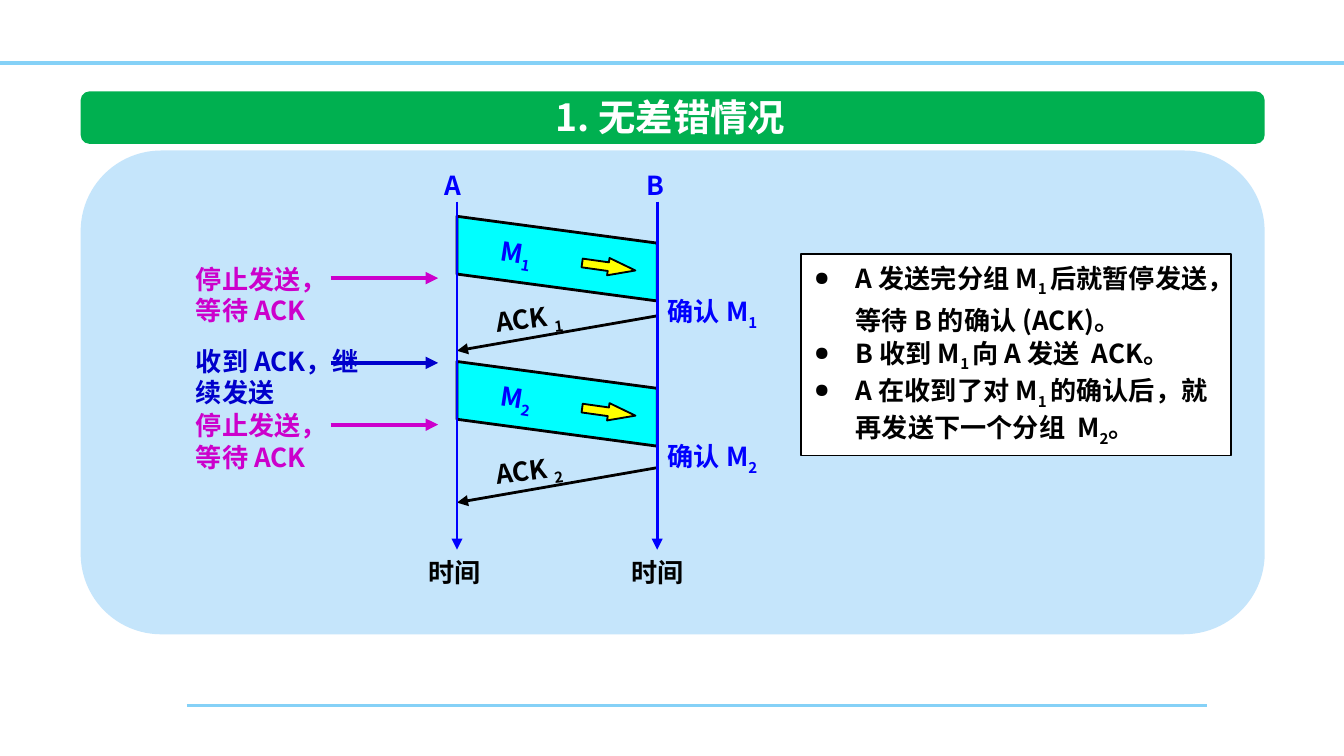
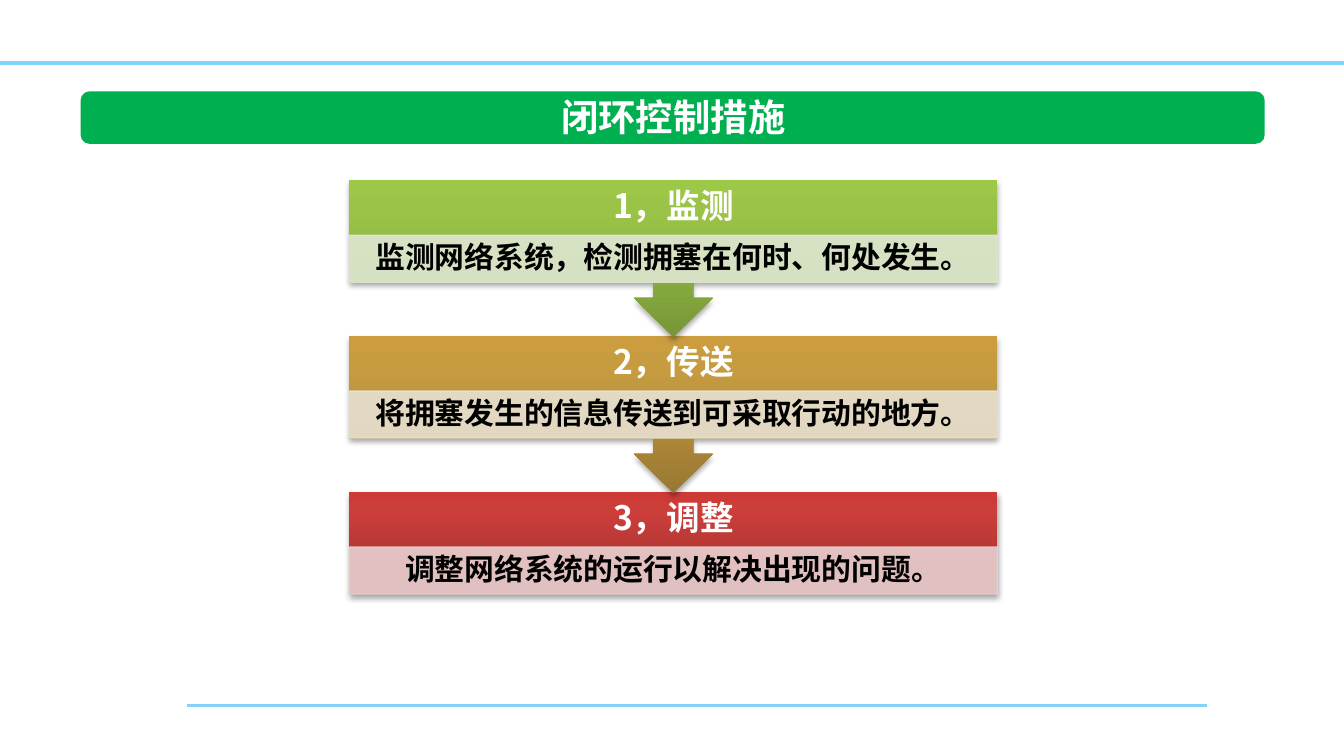
from lxml.etree import SubElement
from pptx import Presentation
from pptx.dml.color import RGBColor
from pptx.enum.shapes import MSO_CONNECTOR, MSO_SHAPE
from pptx.enum.text import MSO_ANCHOR, MSO_AUTO_SIZE, PP_ALIGN
from pptx.oxml.ns import qn
from pptx.util import Inches, Pt

FONT = "Noto Sans CJK SC"
WHITE, BLACK = "FFFFFF", "000000"
SKY, GREEN, PANEL = "85D1F7", "00B050", "C5E5FB"
BLUE, NAVY, MAGENTA = "0000FF", "0000CC", "CC00CC"
CYAN, YELLOW = "00FFFF", "FFFF00"
color = RGBColor.from_string


def paint(shape, fill, line=None, width=0.75):
    shape.shadow.inherit = False
    shape.fill.solid()
    shape.fill.fore_color.rgb = color(fill)
    if line:
        shape.line.color.rgb = color(line)
        shape.line.width = Pt(width)
    else:
        shape.line.fill.background()


def write(box, texts, ink, size=14, wrap=False, align=PP_ALIGN.LEFT, spacing=None,
          bullet=None, anchor=MSO_ANCHOR.TOP, fit=MSO_AUTO_SIZE.SHAPE_TO_FIT_TEXT):
    frame = box.text_frame
    for name, value in {"word_wrap": wrap, "auto_size": fit, "vertical_anchor": anchor}.items():
        setattr(frame, name, value)
    for index, text in enumerate(texts):
        para = frame.add_paragraph() if index else frame.paragraphs[0]
        para.alignment = align
        para.line_spacing = spacing
        if bullet:
            properties = para._p.get_or_add_pPr()
            properties.set("marL", str(Inches(0.31)))
            properties.set("indent", str(-Inches(0.31)))
            SubElement(properties, qn("a:buSzPct"), val="75000")
            SubElement(properties, qn("a:buChar"), char=bullet)
        for position, part in enumerate(text.split("|")):
            span = para.add_run()
            span.text = part
            for name, value in {"name": FONT, "size": Pt(size), "bold": True}.items():
                setattr(span.font, name, value)
            span.font.color.rgb = color(ink)
            run_properties = span._r.get_or_add_rPr()
            SubElement(run_properties, qn("a:ea"), typeface=FONT)
            if position % 2:
                run_properties.set("baseline", "-25000")


deck = Presentation()
deck.slide_width = Inches(10)
deck.slide_height = deck.slide_width * 9 // 16
rails = [(1.39, 5.25, 8.98, 5.25, SKY, 1.5, False), (0, 0.47, 10, 0.47, SKY, 2, False)]

pages = []
for title, left, width in [("1. 无差错情况", 4.02, 1.94), ("闭环控制措施", 4.07, 1.88)]:
    page = deck.slides.add_slide(deck.slide_layouts[6])
    bar = page.shapes.add_shape(MSO_SHAPE.ROUNDED_RECTANGLE,
                                Inches(0.6), Inches(0.68), Inches(8.81), Inches(0.39))
    paint(bar, GREEN)
    box = page.shapes.add_textbox(Inches(left), Inches(0.65), Inches(width), Inches(0.44))
    write(box, [title], WHITE, size=20, align=PP_ALIGN.CENTER)
    pages.append(page)
exchange, control = pages

panel = exchange.shapes.add_shape(MSO_SHAPE.ROUNDED_RECTANGLE,
                                  Inches(0.6), Inches(1.12), Inches(8.81), Inches(3.6))
paint(panel, PANEL)
notes = exchange.shapes.add_shape(MSO_SHAPE.RECTANGLE,
                                  Inches(5.96), Inches(1.89), Inches(3.2), Inches(1.5))
paint(notes, WHITE, BLACK)
write(notes, ["A 发送完分组 M|1 |后就暂停发送，等待 B 的确认 (ACK)。",
              "B 收到 M|1 |向 A 发送  ACK。",
              "A 在收到了对 M|1 |的确认后，就再发送下一个分组  M|2|。"],
      BLACK, wrap=True, spacing=Pt(20), bullet="●")

sender, receiver = 3.4, 4.89
exchange_lines = list(rails)
labels = []
for number, top, reply in [(1, 1.61, 2.35), (2, 2.69, 3.48)]:
    outline = exchange.shapes.build_freeform(Inches(sender), Inches(top), scale=1.0)
    outline.add_line_segments([(Inches(x), Inches(top + drop)) for x, drop in
                               [(receiver, 0.2), (receiver, 0.63), (sender, 0.43)]], close=True)
    paint(outline.convert_to_shape(), CYAN, BLACK, 1.5)
    pointer = exchange.shapes.add_shape(MSO_SHAPE.RIGHT_ARROW, Inches(4.33), Inches(top + 0.31),
                                        Inches(0.4), Inches(0.13))
    pointer.adjustments[1] = 1.565
    pointer.rotation = 8
    paint(pointer, YELLOW, BLACK, 1)
    exchange_lines.append((receiver, reply, sender, reply + 0.26, BLACK, 1.5, True))
    labels += [
        (f"M|{number}", 3.63, top + 0.11, 0.48, 0.33, BLUE, 9, False),
        (f"ACK |{number}", 3.59, reply - 0.15, 0.74, 0.34, BLACK, 352.8, False),
        (f"确认 M|{number}", 4.87, top + 0.54, 0.93, 0.34, BLUE, 0, False),
    ]

for text, top, width, arrow, ink in [
    ("停止发送，等待 ACK", 1.91, 1.28, 2.07, MAGENTA),
    ("收到 ACK，继续发送", 2.52, 1.44, 2.7, NAVY),
    ("停止发送，等待 ACK", 3, 1.28, 3.16, MAGENTA),
]:
    labels.append((text, 1.36, top, width, 0.59, ink, 0, True))
    exchange_lines.append((2.46, arrow, 3.26, arrow, ink, 2.25, True))

for host, x, name_left, time_left in [("A", sender, 3.21, 3.09), ("B", receiver, 4.71, 4.6)]:
    exchange_lines.append((x, 1.5, x, 4.09, BLUE, 1.5, True))
    labels += [(host, name_left, 1.21, 0.34, 0.33, BLUE, 0, False),
               ("时间", time_left, 4.09, 0.59, 0.34, BLACK, 0, False)]

for text, left, top, width, height, ink, rotation, wrap in labels:
    box = exchange.shapes.add_textbox(Inches(left), Inches(top), Inches(width), Inches(height))
    box.rotation = rotation
    write(box, [text], ink, wrap=wrap)

steps = [
    ("1，监测", "监测网络系统，检测拥塞在何时、何处发生。", ("779737", "9BC348", "9DC746"), "DEE7D1"),
    ("2，传送", "将拥塞发生的信息传送到可采取行动的地方。", ("997832", "C79C41", "CB9D3F"), "E8E1D1"),
    ("3，调整", "调整网络系统的运行以解决出现的问题。", ("9C2F2D", "CB3E3A", "CE3B37"), "E8D0D0"),
]
step_left, step_width = Inches(2.6), Inches(4.82)
for index in reversed(range(len(steps))):
    heading, detail, shades, tint = steps[index]
    top = 1.34 + 1.16 * index
    last = index == len(steps) - 1
    kind = MSO_SHAPE.RECTANGLE if last else MSO_SHAPE.UP_ARROW_CALLOUT
    block = control.shapes.add_shape(kind, step_left, Inches(top), step_width,
                                     Inches(0.76 if last else 1.17))
    block.rotation = 0 if last else 180
    paint(block, shades[0])
    block.fill.gradient()
    block.fill.gradient_angle = 90
    properties = block._element.spPr
    gradient = properties.find(qn("a:gradFill"))
    gradient.set("rotWithShape", "0")
    stops = gradient.find(qn("a:gsLst"))
    for stop in list(stops):
        stops.remove(stop)
    for place, shade in zip((0, 80000, 100000), shades):
        stop = SubElement(stops, qn("a:gs"), pos=str(place))
        SubElement(stop, qn("a:srgbClr"), val=shade)
    shadow = SubElement(properties.find(qn("a:effectLst")), qn("a:outerShdw"), blurRad="40000",
                        dist="23000", dir="5400000", rotWithShape="0")
    shade = SubElement(shadow, qn("a:srgbClr"), val=BLACK)
    SubElement(shade, qn("a:alpha"), val="35000")

    strip = control.shapes.add_shape(MSO_SHAPE.RECTANGLE, step_left, Inches(top + 0.41),
                                     step_width, Inches(0.35))
    paint(strip, tint, tint)
    for shade in strip._element.spPr.iter(qn("a:srgbClr")):
        SubElement(shade, qn("a:alpha"), val="90000")

    for text, offset, height, ink, size, side, edge in [
        (heading, 0, 0.41, WHITE, 18, 0.14, 0.14),
        (detail, 0.41, 0.35, BLACK, 16, 0.12, 0.02),
    ]:
        box = control.shapes.add_textbox(step_left, Inches(top + offset), step_width, Inches(height))
        for name, value in {"margin_left": side, "margin_right": side,
                            "margin_top": edge, "margin_bottom": edge}.items():
            setattr(box.text_frame, name, Inches(value))
        write(box, [text], ink, size=size, wrap=True, align=PP_ALIGN.CENTER, spacing=0.9,
              anchor=MSO_ANCHOR.MIDDLE, fit=MSO_AUTO_SIZE.NONE)

for page, lines in [(exchange, exchange_lines), (control, rails)]:
    for x1, y1, x2, y2, ink, width, arrow in lines:
        line = page.shapes.add_connector(MSO_CONNECTOR.STRAIGHT,
                                         Inches(x1), Inches(y1), Inches(x2), Inches(y2))
        line.line.color.rgb = color(ink)
        line.line.width = Pt(width)
        if arrow:
            SubElement(line.line._get_or_add_ln(), qn("a:tailEnd"), type="triangle")
        SubElement(line._element.spPr, qn("a:effectLst"))

deck.save("out.pptx")
